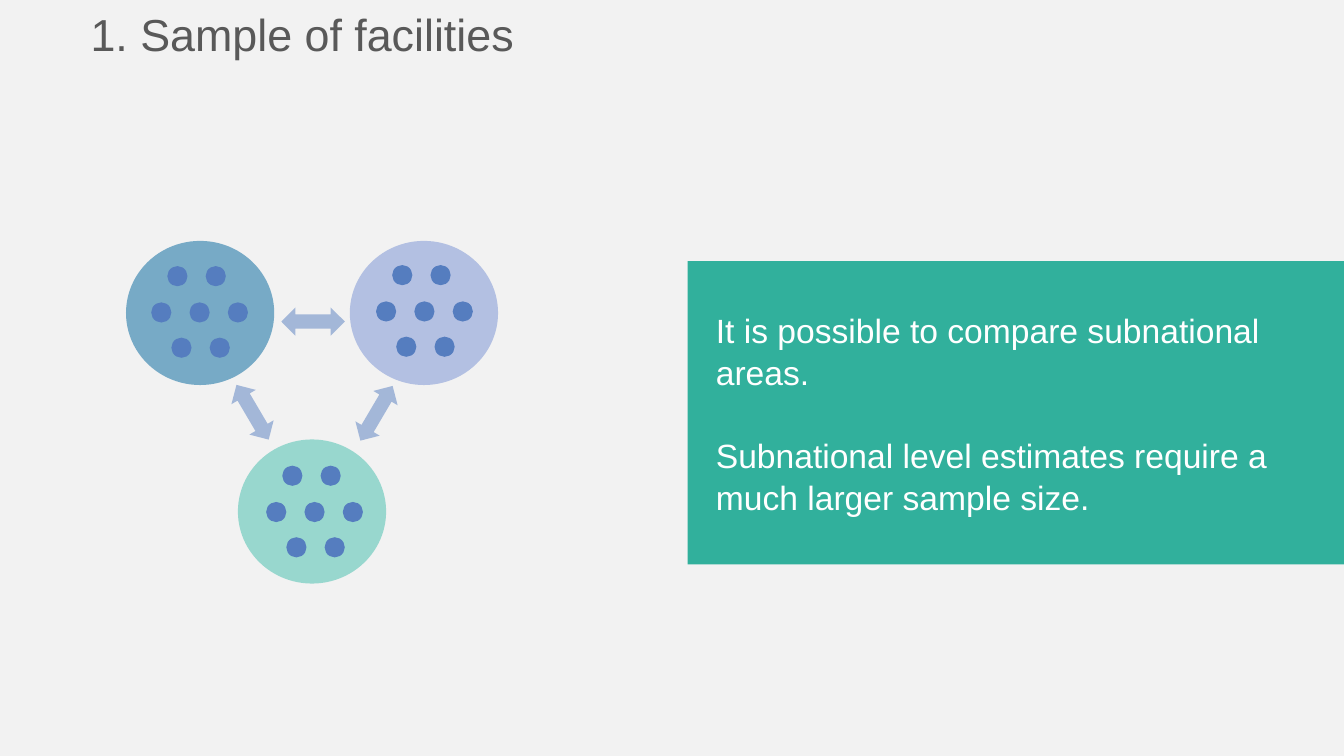
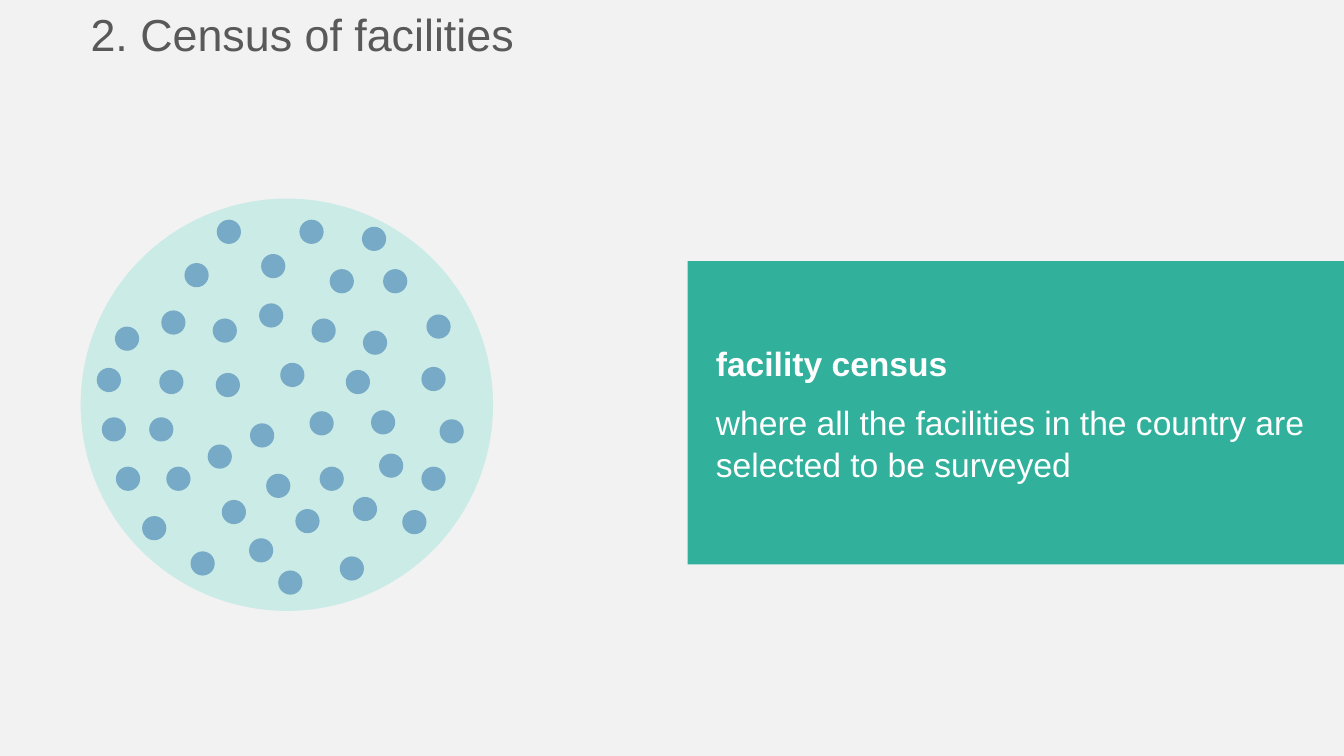
from dataclasses import dataclass

from lxml.etree import SubElement
from pptx import Presentation
from pptx.dml.color import RGBColor
from pptx.enum.shapes import MSO_SHAPE as Preset
from pptx.enum.text import MSO_ANCHOR as Anchor, MSO_AUTO_SIZE as AutoSize, PP_ALIGN as Align
from pptx.oxml.ns import qn
from pptx.shapes.autoshape import Shape
from pptx.slide import Slide
from pptx.util import Inches, Pt


@dataclass(frozen=True)
class Theme:
    font: str = "Arial"
    title_size: int = 32
    body_size: int = 24
    line_spacing: float = 1.04
    background: str = "F2F2F2"
    title: str = "595959"
    panel: str = "31B09C"
    panel_text: str = "FFFFFF"
    steel: str = "77AAC6"
    lavender: str = "B3C0E2"
    mint: str = "98D7CE"
    pale_mint: str = "CBEBE6"
    blue: str = "557DBF"


@dataclass(frozen=True)
class Statement:
    text: str
    bold: bool = False
    before: float = 0
    after: float = 0


@dataclass(frozen=True)
class Area:
    """A subnational area and the place of its first facility."""
    left: float
    top: float
    color: str
    first_x: float
    first_y: float


@dataclass(frozen=True)
class Comparison:
    left: float
    top: float
    rotation: float = 0


THEME = Theme()
SLIDE_WIDTH, SLIDE_HEIGHT = 13.33, 7.5
PANEL_LEFT, PANEL_TOP, PANEL_HEIGHT = 6.82, 2.59, 3.01

AREA_WIDTH, AREA_HEIGHT = 1.47, 1.43
AREAS = (
    Area(1.25, 2.39, THEME.steel, 1.66, 2.64),
    Area(3.47, 2.39, THEME.lavender, 3.89, 2.63),
    Area(2.36, 4.36, THEME.mint, 2.8, 4.62),
)
SAMPLE_DOT, SAMPLE_PITCH = 0.2, 0.38
# Each row of a sample: indent, drop from the first row, number of facilities
SAMPLE_ROWS = ((0, 0, 2), (-0.16, 0.36, 3), (0.04, 0.71, 2))
COMPARISONS = (
    Comparison(2.79, 3.05),
    Comparison(3.42, 3.96, 300.5),
    Comparison(2.19, 3.95, 59.5),
)

CENSUS_DOT = 0.24
CENSUS_FACILITIES = (
    (2.15, 2.18), (2.97, 2.18), (3.59, 2.25), (2.59, 2.52), (1.83, 2.61), (3.27, 2.67),
    (3.8, 2.67), (2.57, 3.01), (1.6, 3.08), (4.23, 3.12), (2.11, 3.16), (3.09, 3.16),
    (1.14, 3.24), (3.6, 3.28), (2.78, 3.6), (4.18, 3.64), (0.96, 3.65), (1.58, 3.67),
    (3.43, 3.67), (2.14, 3.7), (3.68, 4.07), (3.07, 4.08), (1.01, 4.14), (1.48, 4.14),
    (4.36, 4.16), (2.48, 4.2), (2.06, 4.41), (3.76, 4.5), (1.15, 4.63), (1.65, 4.63),
    (3.17, 4.63), (4.18, 4.63), (2.64, 4.7), (3.5, 4.93), (2.2, 4.96), (2.93, 5.05),
    (3.99, 5.06), (1.41, 5.12), (2.47, 5.34), (1.89, 5.47), (3.37, 5.52), (2.76, 5.66),
)


def add_filled(shapes, preset: Preset, left: float, top: float,
               width: float, height: float, color: str) -> Shape:
    """Add a preset shape with a flat fill and no outline; shapes is a slide's or a group's."""
    shape = shapes.add_shape(preset, Inches(left), Inches(top), Inches(width), Inches(height))
    shape.shadow.inherit = False
    shape.fill.solid()
    shape.fill.fore_color.rgb = RGBColor.from_string(color)
    shape.line.fill.background()
    return shape


def set_font(paragraph, size: int, color: str, bold: bool = False) -> None:
    font = paragraph.font
    font.name, font.size, font.bold = THEME.font, Pt(size), bold
    font.color.rgb = RGBColor.from_string(color)


def add_title(slide: Slide, text: str) -> None:
    frame = slide.shapes.add_textbox(Inches(0.8), Inches(0.02), Inches(6.67), Inches(0.64)).text_frame
    frame.word_wrap = True
    frame.auto_size = AutoSize.SHAPE_TO_FIT_TEXT
    frame.text = text
    set_font(frame.paragraphs[0], THEME.title_size, THEME.title)


def add_panel(slide: Slide, statements: tuple[Statement, ...]) -> None:
    """Add the text band that runs to the right edge of the slide."""
    panel = add_filled(slide.shapes, Preset.RECTANGLE, PANEL_LEFT, PANEL_TOP,
                       SLIDE_WIDTH - PANEL_LEFT, PANEL_HEIGHT, THEME.panel)
    frame = panel.text_frame
    frame.word_wrap = True
    frame.vertical_anchor = Anchor.MIDDLE
    frame.margin_left, frame.margin_right = Inches(0.28), Inches(0.16)
    frame.margin_top = frame.margin_bottom = Inches(0.05)
    for index, statement in enumerate(statements):
        paragraph = frame.add_paragraph() if index else frame.paragraphs[0]
        paragraph.text = statement.text
        paragraph.alignment = Align.LEFT
        paragraph.line_spacing = THEME.line_spacing
        paragraph.space_before, paragraph.space_after = Pt(statement.before), Pt(statement.after)
        set_font(paragraph, THEME.body_size, THEME.panel_text, statement.bold)


def add_area(slide: Slide, area: Area) -> None:
    shapes = slide.shapes.add_group_shape().shapes
    add_filled(shapes, Preset.OVAL, area.left, area.top, AREA_WIDTH, AREA_HEIGHT, area.color)
    for indent, drop, count in SAMPLE_ROWS:
        for column in range(count):
            add_filled(shapes, Preset.OVAL, area.first_x + indent + column * SAMPLE_PITCH,
                       area.first_y + drop, SAMPLE_DOT, SAMPLE_DOT, THEME.blue)


def add_comparison(slide: Slide, comparison: Comparison) -> None:
    arrow = add_filled(slide.shapes, Preset.LEFT_RIGHT_ARROW, comparison.left, comparison.top,
                       0.63, 0.28, THEME.blue)
    arrow.rotation = comparison.rotation
    color = arrow.fill._xPr.find(qn("a:solidFill"))[0]
    SubElement(color, qn("a:alpha"), val="50000")


def add_census(slide: Slide) -> None:
    add_filled(slide.shapes, Preset.OVAL, 0.8, 1.97, 4.09, 4.09, THEME.pale_mint)
    facilities = slide.shapes.add_group_shape().shapes
    for left, top in CENSUS_FACILITIES:
        add_filled(facilities, Preset.OVAL, left, top, CENSUS_DOT, CENSUS_DOT, THEME.steel)


def add_slide(deck, title: str, *statements: Statement) -> Slide:
    slide = deck.slides.add_slide(deck.slide_layouts[6])
    add_title(slide, title)
    add_panel(slide, statements)
    return slide


def main() -> None:
    deck = Presentation()
    deck.slide_width, deck.slide_height = Inches(SLIDE_WIDTH), Inches(SLIDE_HEIGHT)
    backdrop = deck.slide_master.background.fill
    backdrop.solid()
    backdrop.fore_color.rgb = RGBColor.from_string(THEME.background)

    sample = add_slide(
        deck, "1. Sample of facilities",
        Statement("It is possible to compare subnational areas."),
        Statement("Subnational level estimates require a much larger sample size.", before=29),
    )
    for area in AREAS:
        add_area(sample, area)
    for comparison in COMPARISONS:
        add_comparison(sample, comparison)

    census = add_slide(
        deck, "2. Census of facilities",
        Statement("facility census", bold=True, after=12),
        Statement("where all the facilities in the country are selected to be surveyed", after=12),
    )
    add_census(census)

    deck.save("out.pptx")


if __name__ == "__main__":
    main()
